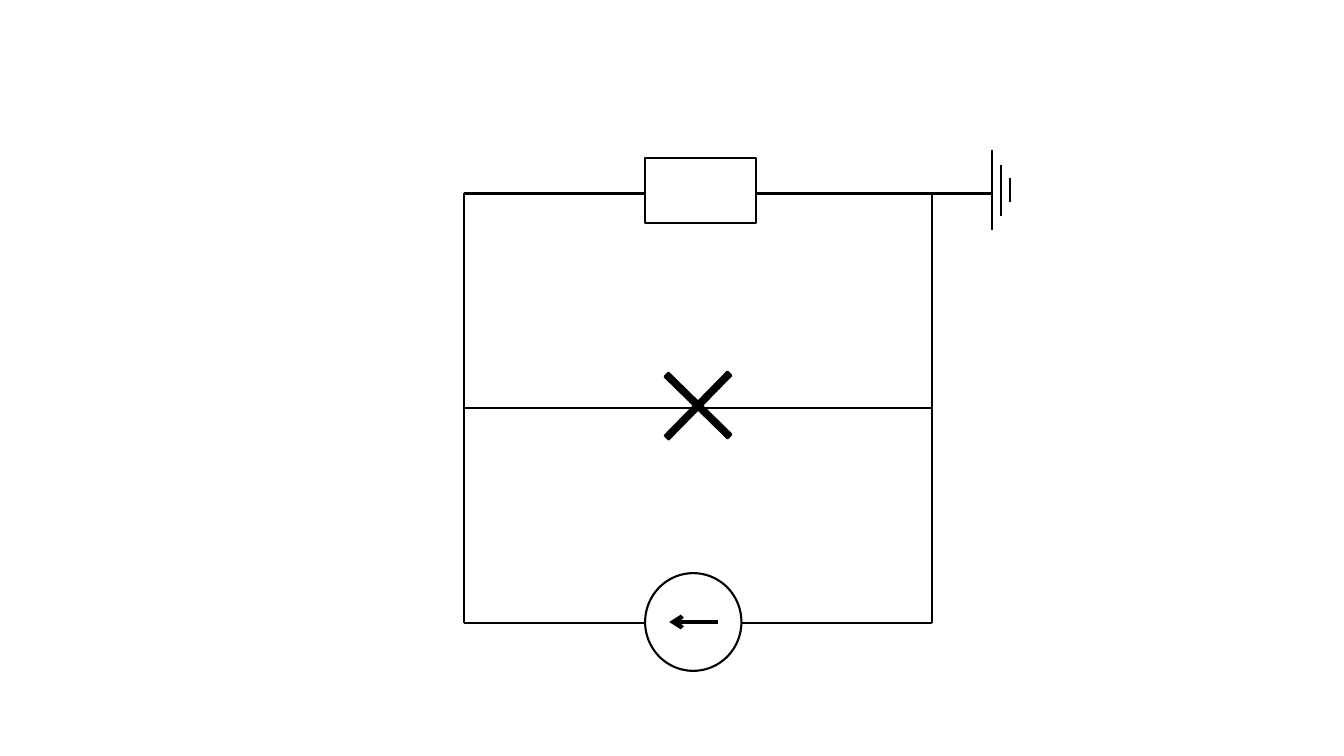
import pptx
import pptx.dml.color
import pptx.enum.shapes
import pptx.util
from lxml import etree
from pptx.oxml.ns import qn

Pt = pptx.util.Pt
SHAPES = pptx.enum.shapes.MSO_SHAPE
BLACK = pptx.dml.color.RGBColor(0, 0, 0)
WHITE = pptx.dml.color.RGBColor(255, 255, 255)
LINE_WIDTH = 1.5


def add_wire(slide, start, end, width=LINE_WIDTH, arrow=False):
    wire = slide.shapes.add_connector(
        pptx.enum.shapes.MSO_CONNECTOR.STRAIGHT, *map(Pt, (*start, *end)))
    wire.line.color.rgb = BLACK
    wire.line.width = Pt(width)
    properties = wire._element.spPr
    if arrow:
        etree.SubElement(properties.find(qn("a:ln")), qn("a:tailEnd"), type="arrow")
    etree.SubElement(properties, qn("a:effectLst"))


def add_symbol(slide, kind, center, size, fill=WHITE):
    x, y = center
    width, height = size
    symbol = slide.shapes.add_shape(
        kind, Pt(x - width / 2), Pt(y - height / 2), Pt(width), Pt(height))
    symbol.shadow.inherit = False
    symbol.fill.solid()
    symbol.fill.fore_color.rgb = fill
    symbol.line.color.rgb = BLACK
    symbol.line.width = Pt(LINE_WIDTH)
    return symbol


def add_ground(slide, left, middle):
    # Three bars, each shorter than the one before
    for index, height in enumerate((57, 36.6, 17.2)):
        x = left + index * 6.45
        add_wire(slide, (x, middle - height / 2), (x, middle + height / 2))


def add_loop(slide, left, top, width, height, ground_lead):
    # Three branches between two side wires; the top one runs on to ground
    right, bottom, middle = left + width, top + height, top + height / 2
    for y, end in ((top, right + ground_lead), (middle, right), (bottom, right)):
        add_wire(slide, (left, y), (end, y))
    for x in (left, right):
        add_wire(slide, (x, top), (x, bottom))


def add_current_source(slide, x, y):
    add_symbol(slide, SHAPES.OVAL, (x, y), (68.8, 69.8))
    add_wire(slide, (x + 17.4, y), (x - 17.2, y), width=3, arrow=True)


def add_lamp(slide, x, y):
    cross = add_symbol(slide, SHAPES.MATH_PLUS, (x, y), (87.1, 85.7), fill=BLACK)
    cross.adjustments[0] = 0.046
    cross.rotation = 314.4


def add_circuit(slide, left, top, width, height):
    ground_lead = 42.4
    add_loop(slide, left, top, width, height, ground_lead)
    add_ground(slide, left + width + ground_lead, top - 2.2)
    add_symbol(slide, SHAPES.RECTANGLE, (left + 169.2, top - 2.2), (79.4, 46.3))
    add_lamp(slide, left + 167.4, top + height / 2 - 1.8)
    add_current_source(slide, left + 164, top + height - 0.5)


def main():
    presentation = pptx.Presentation()
    presentation.slide_width = Pt(960)
    presentation.slide_height = Pt(540)
    slide = presentation.slides.add_slide(presentation.slide_layouts[6])
    add_circuit(slide, left=331.2, top=138.2, width=334.8, height=306.6)
    presentation.save("out.pptx")


if __name__ == "__main__":
    main()
